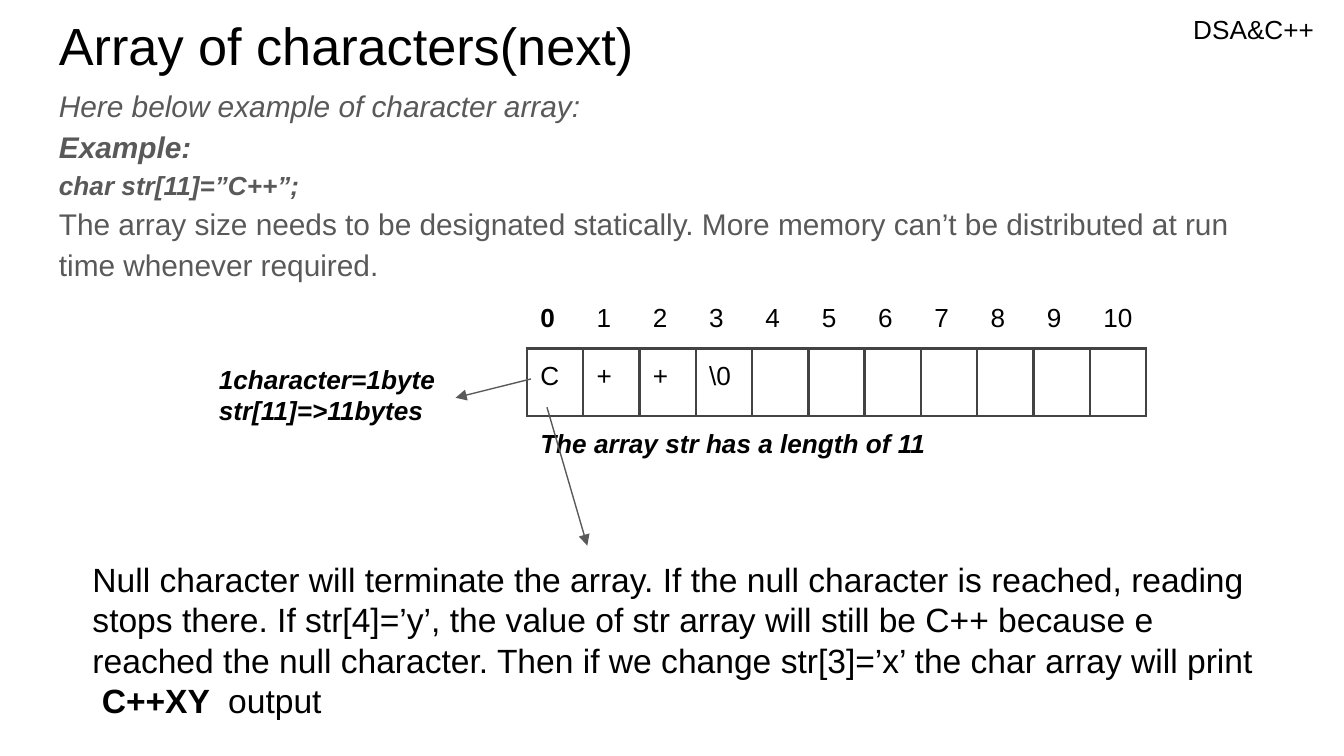
from typing import NamedTuple

from lxml import etree
from pptx import Presentation
from pptx.dml.color import RGBColor
from pptx.enum.shapes import MSO_CONNECTOR
from pptx.oxml.ns import qn
from pptx.util import Inches, Pt

LINE = MSO_CONNECTOR.STRAIGHT
INK = {"black": "000000", "gray": "595959", "border": "434343"}
SIDES = ("left", "top", "right", "bottom")
PAD = Inches(0.1)
WIDE = Inches(10)
COLS, GRID_W = 11, 4.61
ROWS = (0.43, 0.41, 0.41)


class Run(NamedTuple):
    text: str
    size: float = 14
    bold: bool = False
    italic: bool = False
    ink: str = "black"


class Box(NamedTuple):
    left: float
    top: float
    width: float
    height: float
    lines: list[list[Run]]
    space: float = 1.0


class Arrow(NamedTuple):
    x1: float
    y1: float
    x2: float
    y2: float


BOXES = [
    Box(8.78, 0, 1.15, 0.43, [[Run("DSA&C++")]]),
    Box(0.34, 0, 9.32, 0.63, [[Run("Array of characters(next)", 28)]]),
    Box(0.34, 0.51, 9.32, 5.11, [
        [Run("Here below example of character array:", 16, False, True, "gray")],
        [Run("Example:", 16, True, True, "gray")],
        [Run("char str[11]=”C++”;", 14, True, True, "gray")],
        [Run("The array size needs to be designated statically. More memory "
             "can’t be distributed at run time whenever required.",
             16, ink="gray")],
    ], 1.15),
    Box(0.59, 4.06, 8.84, 1.4, [[
        Run("Null character will terminate the array. If the null character "
            "is reached, reading stops there. If str[4]=’y’, the value of str "
            "array will still be C++ because e reached the null character. "
            "Then if we change str[3]=’x’ the char array will print  ", 18),
        Run("C++XY ", 18, True),
        Run(" output", 18),
    ]]),
    Box(1.53, 2.6, 1.86, 0.72, [
        [Run("1character=1byte", 14, True, True)],
        [Run("str[11]=>11bytes", 14, True, True)],
    ]),
]
ARROWS = [Arrow(4.07, 3.03, 4.37, 4.06), Arrow(3.95, 2.82, 3.39, 2.96)]
CHARS = ["C", "+", "+", "\\0"]


def color(name: str) -> RGBColor:
    return RGBColor.from_string(INK[name])


def add_run(para, run: Run) -> None:
    part = para.add_run()
    part.text = run.text
    looks = {"name": "Arial", "size": Pt(run.size),
             "bold": run.bold, "italic": run.italic}
    for key, value in looks.items():
        setattr(part.font, key, value)
    part.font.color.rgb = color(run.ink)


def pad(item) -> None:
    for side in SIDES:
        setattr(item, f"margin_{side}", PAD)


def add_box(slide, box: Box) -> None:
    frame = slide.shapes.add_textbox(*map(Inches, box[:4])).text_frame
    frame.word_wrap = True
    pad(frame)
    for i, line in enumerate(box.lines):
        para = frame.add_paragraph() if i else frame.paragraphs[0]
        para.line_spacing = box.space
        for run in line:
            add_run(para, run)


def add_arrow(slide, arrow: Arrow) -> None:
    link = slide.shapes.add_connector(LINE, *map(Inches, arrow))
    link.line.color.rgb = color("gray")
    link.line.width = Pt(0.75)
    shape = link._element.spPr
    etree.SubElement(shape.find(qn("a:ln")), qn("a:tailEnd"), type="triangle")
    etree.SubElement(shape, qn("a:effectLst"))


def edge(cell, drawn: str) -> None:
    """Draw the borders named in drawn (L, R, T, B) and hide the others."""
    props = cell._tc.get_or_add_tcPr()
    for i, side in enumerate("LRTB"):
        line = etree.Element(qn(f"a:ln{side}"), w=str(Pt(1.5)))
        if side in drawn:
            fill = etree.SubElement(line, qn("a:solidFill"))
            etree.SubElement(fill, qn("a:srgbClr"), val=INK["border"])
        else:
            etree.SubElement(line, qn("a:noFill"))
        props.insert(i, line)


def add_grid(slide) -> None:
    """Draw the indexes, the characters and the caption as one table."""
    place = map(Inches, (3.92, 2.16, GRID_W, sum(ROWS)))
    grid = slide.shapes.add_table(len(ROWS), COLS, *place).table
    grid.first_row = grid.horz_banding = False
    for col in grid.columns:
        col.width = Inches(GRID_W / COLS)
    for row, height in zip(grid.rows, ROWS):
        row.height = Inches(height)
    grid.cell(2, 0).merge(grid.cell(2, COLS - 1))
    texts = [
        [Run(str(i), bold=i == 0) for i in range(COLS)],
        [Run(char) for char in CHARS],
        [Run("The array str has a length of 11", 14, True, True)],
    ]
    for r, drawn in enumerate(("B", "LRTB", "T")):
        for c in range(COLS):
            cell = grid.cell(r, c)
            cell.fill.background()
            pad(cell)
            edge(cell, drawn)
            if c < len(texts[r]):
                add_run(cell.text_frame.paragraphs[0], texts[r][c])


def main() -> None:
    deck = Presentation()
    deck.slide_width, deck.slide_height = WIDE, WIDE * 9 // 16
    slide = deck.slides.add_slide(deck.slide_layouts[6])
    for box in BOXES[:3]:
        add_box(slide, box)
    add_grid(slide)
    for arrow, box in zip(ARROWS, BOXES[3:]):
        add_arrow(slide, arrow)
        add_box(slide, box)
    deck.save("out.pptx")


if __name__ == "__main__":
    main()
